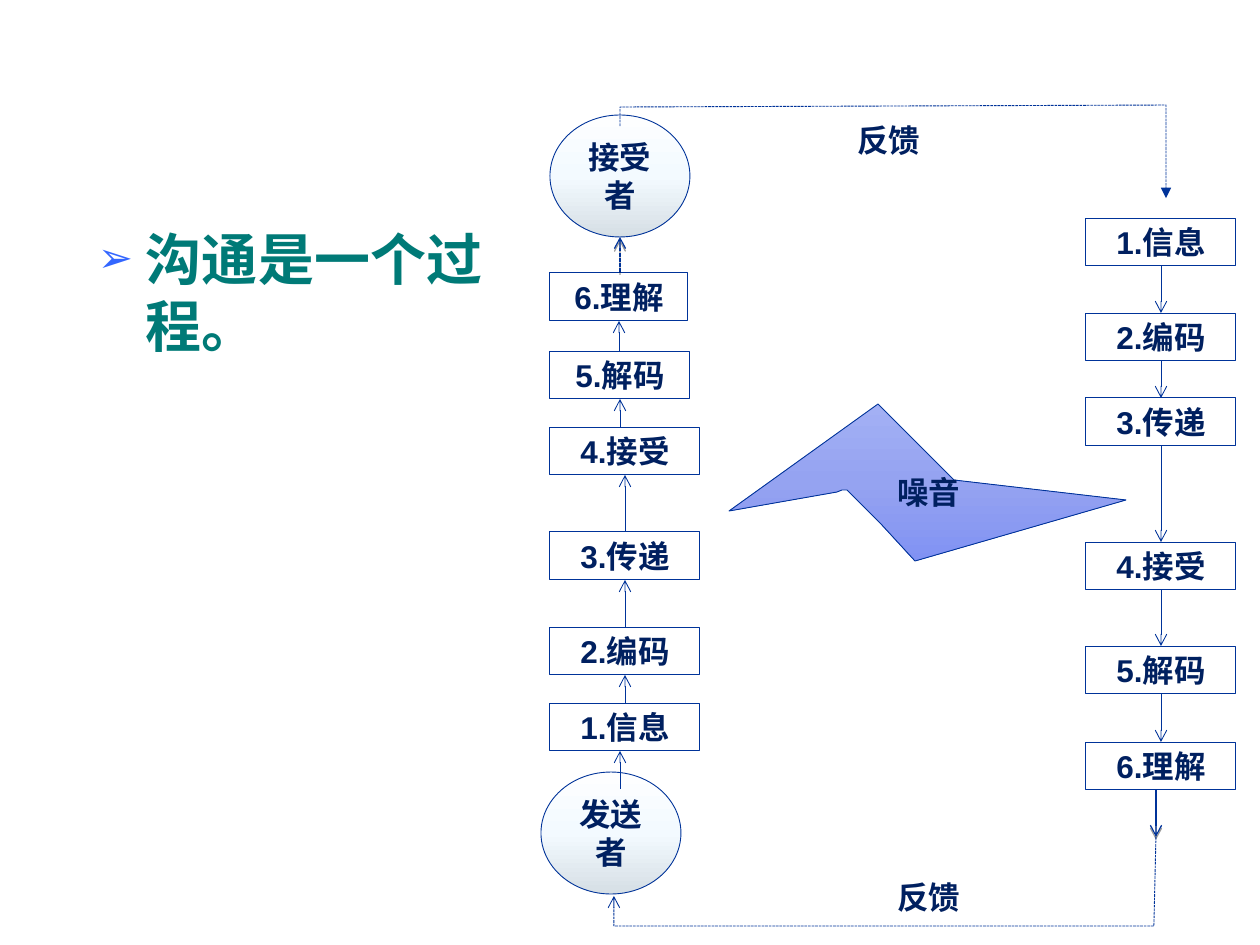
from copy import deepcopy
from itertools import pairwise

from pptx import Presentation
from pptx.dml.color import RGBColor as Rgb
from pptx.enum.dml import MSO_LINE as Dash
from pptx.enum.shapes import MSO_CONNECTOR as Conn, MSO_SHAPE as Geo
from pptx.enum.text import MSO_ANCHOR as Anchor, PP_ALIGN as Align
from pptx.oxml import parse_xml
from pptx.oxml.ns import nsdecls, qn
from pptx.util import Emu, Pt

SCALE = 914400 / 126
HEX = {
    "line": "003399", "ink": "002060", "title": "007A77", "mark": "3366FF",
    "white": "FFFFFF", "shade": "000000",
}
BALL = ["FDFEFF", "F3FAFF", "D6DFE5"]
BOLT = ["A3B0F4", "95A3F1", "8192F3"]
STEPS = ["1.信息", "2.编码", "3.传递", "4.接受", "5.解码", "6.理解"]
HIGH = 48


def px(num):
    return Emu(round(num * SCALE))


def tag(text):
    return parse_xml(text.replace("/>", f" {nsdecls('a')}/>", 1))


class Chart:
    """Draws the parts of the flow on one slide in a shared style."""

    def __init__(self, slide):
        self.shapes = slide.shapes

    def say(self, frame, text, size=18, font="Arial", color="ink", align=Align.CENTER):
        frame.word_wrap = True
        para = frame.paragraphs[0]
        para.alignment = align
        run = para.add_run()
        run.text = text
        run.font.size, run.font.name, run.font.bold = Pt(size), font, True
        run.font.color.rgb = Rgb.from_string(HEX[color])
        face = run.font._element.find(qn("a:latin"))
        face.addnext(tag(f'<a:ea typeface="{font}"/>'))

    def edge(self, shape, width=0.5, dash=None, head=None):
        shape.line.color.rgb = Rgb.from_string(HEX["line"])
        shape.line.width = Pt(width)
        if dash:
            shape.line.dash_style = dash
        if head:
            shape.line._get_or_add_ln().append(tag(f'<a:tailEnd type="{head}"/>'))

    def blend(self, shape, hues):
        shape.fill.gradient()
        shape.fill.gradient_angle = 270
        first = shape._element.spPr.find(".//" + qn("a:gs"))
        first.addnext(deepcopy(first))
        for spot, (stop, hue) in enumerate(zip(shape.fill.gradient_stops, hues)):
            stop.position = spot / 2
            stop.color.rgb = Rgb.from_string(hue)

    def node(self, geo, box, text, hues=None):
        shape = self.shapes.add_shape(geo, *map(px, box))
        shape.shadow.inherit = False
        if hues:
            self.blend(shape, hues)
        else:
            shape.fill.solid()
            shape.fill.fore_color.rgb = Rgb.from_string(HEX["white"])
        self.edge(shape)
        shape.text_frame.vertical_anchor = Anchor.MIDDLE
        self.say(shape.text_frame, text)

    def arrow(self, x, start, end, width=0.5, dash=None, shade=False):
        line = self.shapes.add_connector(Conn.STRAIGHT, *map(px, (x, start, x, end)))
        self.edge(line, width, dash, "arrow")
        glow = parse_xml(f"<a:effectLst {nsdecls('a')}/>")
        if shade:
            glow.append(parse_xml(
                f'<a:outerShdw {nsdecls("a")} blurRad="0" dist="20320" dir="5400000" rotWithShape="0">'
                f'<a:srgbClr val="{HEX["shade"]}"><a:alpha val="38000"/></a:srgbClr></a:outerShdw>'))
        line._element.spPr.append(glow)

    def trace(self, dots, hues=None, dash=None, head=None):
        pen = self.shapes.build_freeform(*dots[0], scale=SCALE)
        pen.add_line_segments(dots[1:], close=bool(hues))
        shape = pen.convert_to_shape()
        shape.shadow.inherit = False
        if hues:
            self.blend(shape, hues)
        else:
            shape.fill.background()
        self.edge(shape, dash=dash, head=head)

    def label(self, box, text, align=Align.LEFT):
        frame = self.shapes.add_textbox(*map(px, box)).text_frame
        self.say(frame, text, font="Calibri", align=align)

    def point(self, box, text):
        frame = self.shapes.add_textbox(*map(px, box)).text_frame
        frame.margin_left = frame.margin_right = px(3)
        props = frame.paragraphs[0]._p.get_or_add_pPr()
        props.set("marL", str(px(48)))
        props.set("indent", str(-px(48)))
        props.append(parse_xml(
            f'<a:buClr {nsdecls("a")}><a:srgbClr val="{HEX["mark"]}"/></a:buClr>'))
        props.append(tag('<a:buSzPct val="75000"/>'))
        props.append(tag('<a:buFont typeface="Arial"/>'))
        props.append(tag('<a:buChar char="➢"/>'))
        self.say(frame, text, 32, color="title", align=Align.LEFT)

    def stack(self, left, tops, wides):
        for text, top, wide in zip(STEPS, tops, wides):
            self.node(Geo.RECTANGLE, (left, top, wide, HIGH), text)
        for (start, _), (end, wide) in pairwise(zip(tops, wides)):
            mid = left + wide // 2
            if start < end:
                self.arrow(mid, start + HIGH, end)
            else:
                self.arrow(mid, start, end + HIGH)


def main():
    deck = Presentation()
    deck.slide_width, deck.slide_height = px(1260), px(945)
    chart = Chart(deck.slides.add_slide(deck.slide_layouts[6]))
    chart.point((95, 218, 437, 318), "沟通是一个过程。")

    chart.node(Geo.OVAL, (550, 115, 140, 122), "接受者", BALL)
    chart.node(Geo.OVAL, (541, 772, 140, 122), "发送者", BALL)
    chart.stack(550, [703, 627, 532, 427, 351, 273], [150, 150, 150, 150, 140, 138])
    chart.stack(1086, [218, 313, 398, 542, 646, 742], [150] * 6)

    chart.arrow(620, 789, 751)
    chart.arrow(620, 272, 237, 0.75, Dash.SQUARE_DOT, True)
    chart.arrow(1156, 790, 837, 0.75, shade=True)
    chart.trace([(620, 126), (620, 107), (1166, 105), (1166, 198)],
                dash=Dash.SQUARE_DOT, head="triangle")
    chart.trace([(1156, 837), (1154, 926), (614, 926), (614, 896)],
                dash=Dash.SQUARE_DOT, head="arrow")

    chart.trace([(729, 511), (878, 404), (954, 480), (1126, 500), (915, 561),
                 (881, 524), (847, 490), (842, 490), (837, 492)], BOLT)
    chart.label((836, 467, 186, 50), "噪音", Align.CENTER)
    chart.label((845, 115, 305, 50), "反馈")
    chart.label((885, 872, 178, 50), "反馈")
    deck.save("out.pptx")


if __name__ == "__main__":
    main()
